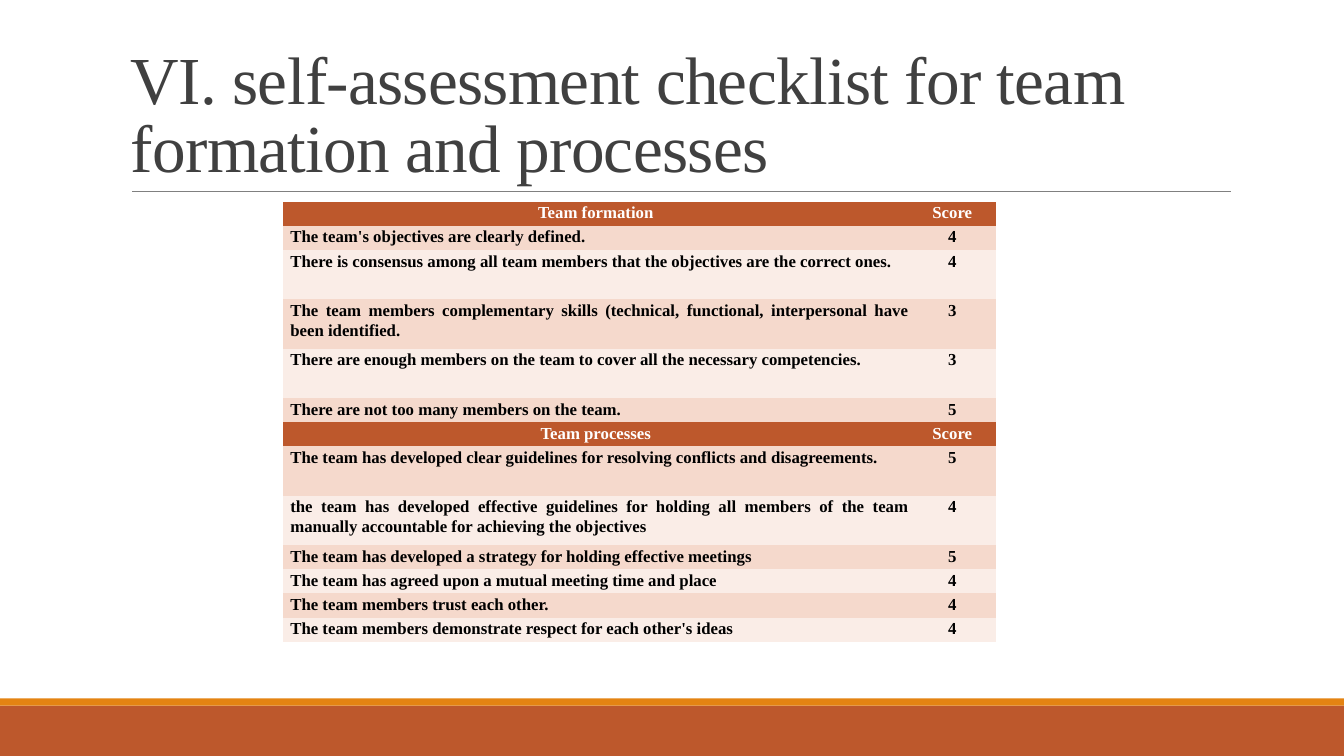
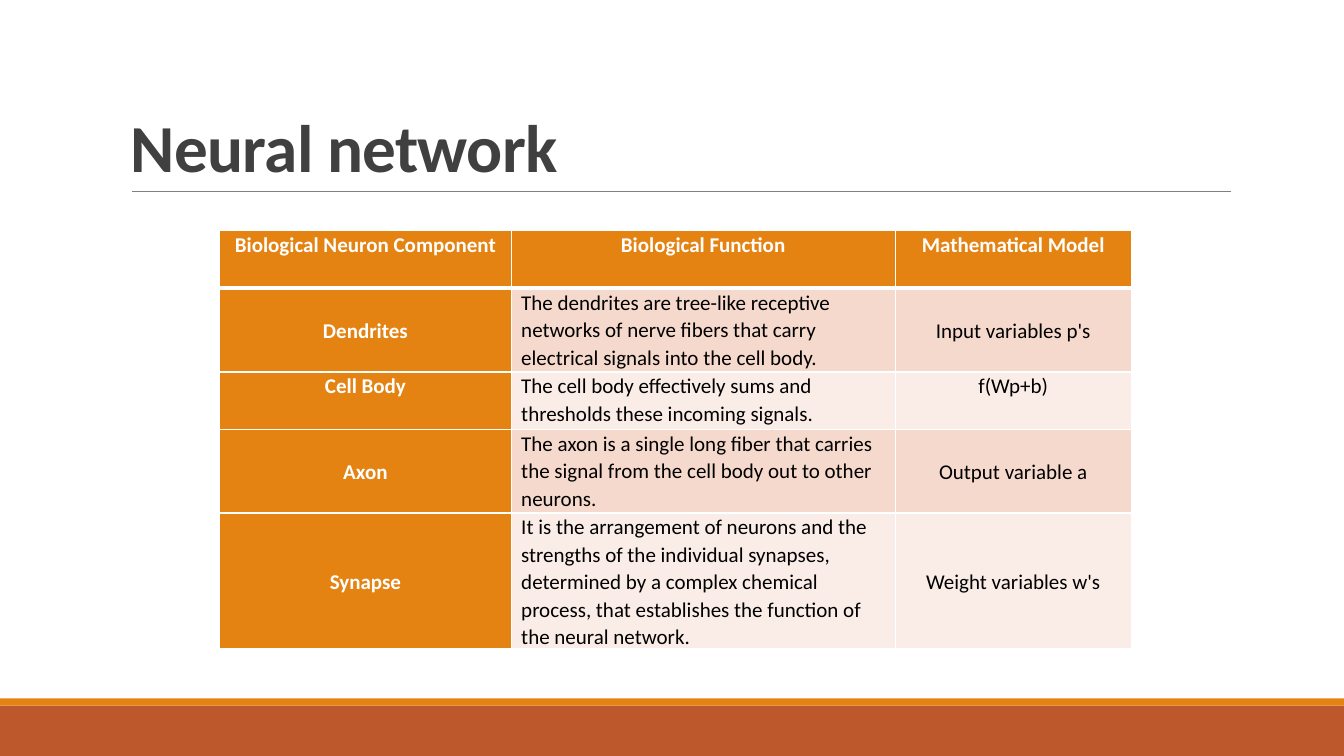
import pptx
import pptx.util
import pptx.dml.color
import pptx.enum.shapes
import pptx.enum.text
from lxml import etree
from pptx.util import Inches

RGB = pptx.dml.color.RGBColor
RUST = RGB(0xBD, 0x58, 0x2C)
ORANGE = RGB(0xE4, 0x83, 0x12)
PINK = RGB(0xF5, 0xD9, 0xCC)
PALE = RGB(0xFA, 0xED, 0xE7)
RULE_GREY = RGB(0x80, 0x80, 0x80)
TITLE_GREY = RGB(0x40, 0x40, 0x40)
BLACK = RGB(0, 0, 0)
WHITE = RGB(0xFF, 0xFF, 0xFF)

SERIF = "Times New Roman"
SANS = "Calibri"
ALIGN = pptx.enum.text.PP_ALIGN
ANCHOR = pptx.enum.text.MSO_ANCHOR
A = "{http://schemas.openxmlformats.org/drawingml/2006/main}"

CHECKLIST = [
    ("Team formation", [
        ("The team's objectives are clearly defined.", 4, 1),
        ("There is consensus among all team members that the objectives "
         "are the correct ones.", 4, 2),
        ("The team members complementary skills (technical, functional, "
         "interpersonal have been identified.", 3, 2),
        ("There are enough members on the team to cover all the necessary "
         "competencies.", 3, 2),
        ("There are not too many members on the team.", 5, 1),
    ]),
    ("Team processes", [
        ("The team has developed clear guidelines for resolving conflicts "
         "and disagreements.", 5, 2),
        ("the team has developed effective guidelines for holding all members "
         "of the team manually accountable for achieving the objectives", 4, 2),
        ("The team has developed a strategy for holding effective meetings", 5, 1),
        ("The team has agreed upon a mutual meeting time and place", 4, 1),
        ("The team members trust each other.", 4, 1),
        ("The team members demonstrate respect for each other's ideas", 4, 1),
    ]),
]
LINE_HEIGHTS = {1: 0.24, 2: 0.49}

NEURON = [
    ("Biological Neuron Component", "Biological Function", "Mathematical Model"),
    ("Dendrites",
     "The dendrites are tree-like receptive networks of nerve fibers that carry "
     "electrical signals into the cell body.",
     "Input variables p's"),
    ("Cell Body",
     "The cell body effectively sums and thresholds these incoming signals.",
     "f(Wp+b)"),
    ("Axon",
     "The axon is a single long fiber that carries the signal from the cell body "
     "out to other neurons.",
     "Output variable a"),
    ("Synapse",
     "It is the arrangement of neurons and the strengths of the individual "
     "synapses, determined by a complex chemical process, that establishes the "
     "function of the neural network.",
     "Weight variables w's"),
]
NEURON_HEIGHTS = [0.57, 0.83, 0.57, 0.83, 1.35]


def set_borders(cell, **widths):
    """Draw white borders; widths are points keyed by L, R, T, B, absent is none."""
    tcPr = cell._tc.get_or_add_tcPr()
    for side in "LRTB":
        width = widths.get(side, 0)
        ln = etree.SubElement(tcPr, f"{A}ln{side}", w=str(pptx.util.Pt(width)))
        if width:
            fill = etree.SubElement(ln, f"{A}solidFill")
            etree.SubElement(fill, f"{A}srgbClr", val=str(WHITE))
        else:
            etree.SubElement(ln, f"{A}noFill")


def band_fill(row):
    return PINK if row % 2 else PALE


class Deck:
    """The shared style and the slide being built."""

    def __init__(self):
        self.prs = pptx.Presentation()
        self.prs.slide_width = Inches(13.33)
        self.prs.slide_height = Inches(7.5)
        self.s = None

    def new_slide(self, title, font, bold=False):
        self.s = self.prs.slides.add_slide(self.prs.slide_layouts[6])
        self.band(7, 0.5, RUST)
        self.band(6.93, 0.07, ORANGE)
        self.title_rule()
        self.title(title, font, bold)

    def band(self, top, height, color):
        sp = self.s.shapes.add_shape(
            pptx.enum.shapes.MSO_SHAPE.RECTANGLE,
            0, Inches(top), self.prs.slide_width, Inches(height))
        sp.shadow.inherit = False
        sp.fill.solid()
        sp.fill.fore_color.rgb = color
        sp.line.fill.background()

    def title_rule(self):
        line = self.s.shapes.add_connector(
            pptx.enum.shapes.MSO_CONNECTOR.STRAIGHT,
            Inches(1.31), Inches(1.9), Inches(12.21), Inches(1.9))
        line.line.color.rgb = RULE_GREY
        line.line.width = pptx.util.Pt(0.5)
        etree.SubElement(line._element.spPr, f"{A}effectLst")

    def title(self, text, font, bold):
        box = self.s.shapes.add_textbox(
            Inches(1.2), Inches(0.31), Inches(11), Inches(1.59))
        tf = box.text_frame
        tf.word_wrap = True
        tf.vertical_anchor = ANCHOR.BOTTOM
        r = self.add_text(tf, text, font, 48, TITLE_GREY, bold, ALIGN.LEFT, 0.85)
        r._r.get_or_add_rPr().set("spc", "-50")

    def add_text(self, tf, text, font, size, color, bold, align, spacing=1.07):
        p = tf.paragraphs[0]
        p.alignment = align
        p.line_spacing = spacing
        r = p.add_run()
        r.text = text
        r.font.name = font
        r.font.size = pptx.util.Pt(size)
        r.font.color.rgb = color
        r.font.bold = bold
        return r

    def table(self, left, top, widths, heights):
        table = self.s.shapes.add_table(
            len(heights), len(widths), Inches(left), Inches(top),
            Inches(sum(widths)), Inches(sum(heights))).table
        table.first_row = table.horz_banding = False
        for column, width in zip(table.columns, widths):
            column.width = Inches(width)
        for row, height in zip(table.rows, heights):
            row.height = Inches(height)
        return table

    def cell(self, cell, text, fill, margins, borders, anchor=ANCHOR.TOP, **style):
        """Margins are left, top, right and bottom in inches."""
        (cell.margin_left, cell.margin_top,
         cell.margin_right, cell.margin_bottom) = map(Inches, margins)
        cell.vertical_anchor = anchor
        set_borders(cell, **borders)
        cell.fill.solid()
        cell.fill.fore_color.rgb = fill
        self.add_text(cell.text_frame, text, **style)


def checklist_slide(deck):
    deck.new_slide("VI. self-assessment checklist for team formation and processes",
                   SERIF)
    rows = []
    for heading, items in CHECKLIST:
        rows.append((heading, "Score", 1, True))
        rows += [(text, str(score), lines, False) for text, score, lines in items]
    table = deck.table(2.81, 2, [6.26, 0.81],
                       [LINE_HEIGHTS[lines] for _, _, lines, _ in rows])
    for i, (text, score, _, is_heading) in enumerate(rows):
        for j, value in enumerate((text, score)):
            centred = is_heading or j == 1
            deck.cell(table.cell(i, j), value,
                      RUST if is_heading else band_fill(i),
                      (0.07, 0.01, 0.13 if centred else 0.05, 0), {},
                      font=SERIF, size=12, bold=True,
                      color=WHITE if is_heading else BLACK,
                      align=ALIGN.CENTER if centred else ALIGN.JUSTIFY)


def neuron_slide(deck):
    deck.new_slide("Neural network", SANS, bold=True)
    table = deck.table(2.18, 2.29, [2.89, 3.81, 2.34], NEURON_HEIGHTS)
    for i, row in enumerate(NEURON):
        borders = dict(L=1, R=1, T=3 if i == 1 else 1, B=3 if i == 0 else 1)
        for j, value in enumerate(row):
            is_heading = i == 0 or j == 0
            is_description = i > 0 and j == 1
            in_middle = NEURON_HEIGHTS[i] > 0.6 and not is_description
            deck.cell(table.cell(i, j), value,
                      ORANGE if is_heading else band_fill(i),
                      (0.1, 0, 0.1, 0), borders,
                      ANCHOR.MIDDLE if in_middle else ANCHOR.TOP,
                      font=SANS, size=15, bold=is_heading,
                      color=WHITE if is_heading else BLACK,
                      align=ALIGN.LEFT if is_description else ALIGN.CENTER)


def main():
    deck = Deck()
    checklist_slide(deck)
    neuron_slide(deck)
    deck.prs.save("out.pptx")


if __name__ == "__main__":
    main()
